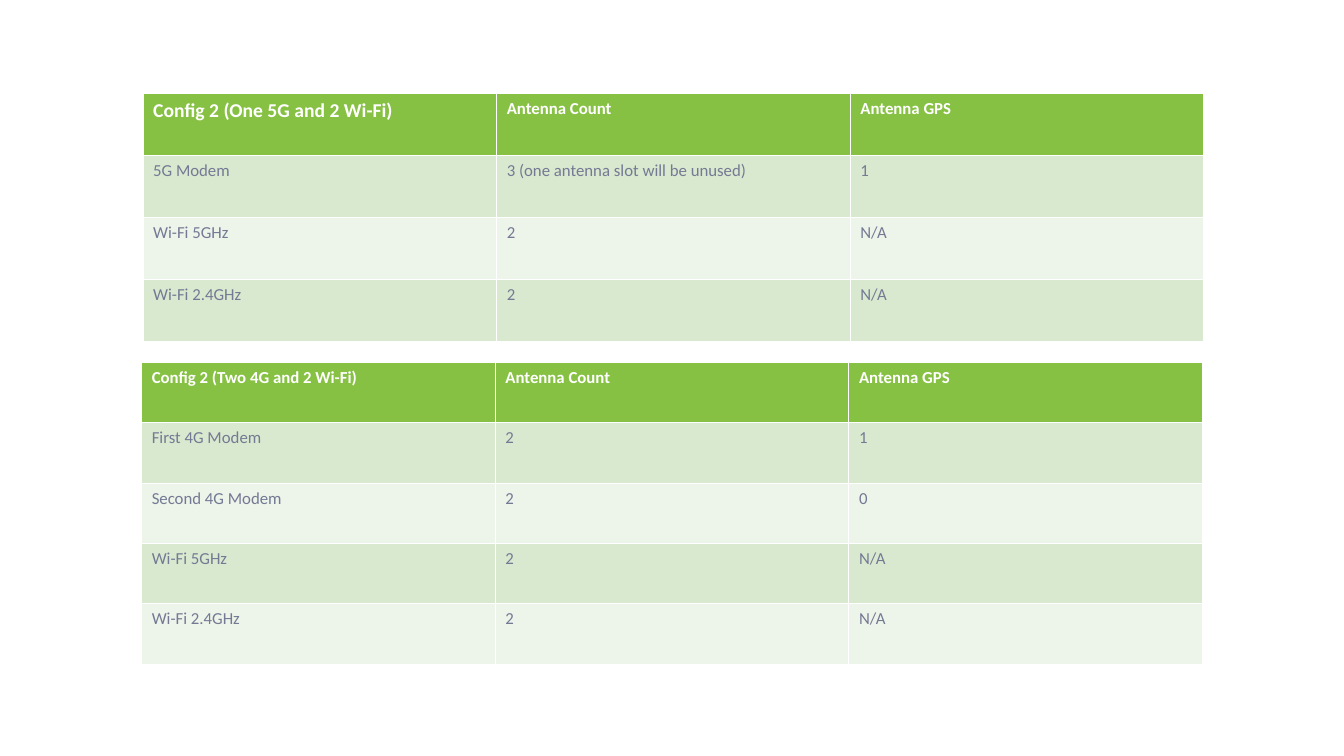
"""Build a slide with two antenna configuration tables."""
from dataclasses import dataclass

from lxml.etree import SubElement
from pptx import Presentation
from pptx.dml.color import RGBColor
from pptx.oxml.ns import qn
from pptx.util import Pt

TABLES = [
    {
        "left": 102.2, "top": 66.8, "row_height": 44.3, "title_size": 14,
        "rows": [
            ("Config 2 (One 5G and 2 Wi-Fi)", "Antenna Count", "Antenna GPS"),
            ("5G Modem", "3 (one antenna slot will be unused)", "1"),
            ("Wi-Fi 5GHz", "2", "N/A"),
            ("Wi-Fi 2.4GHz", "2", "N/A"),
        ],
    },
    {
        "left": 101.2, "top": 259, "row_height": 43.1, "title_size": 12,
        "rows": [
            ("Config 2 (Two 4G and 2 Wi-Fi)", "Antenna Count", "Antenna GPS"),
            ("First 4G Modem", "2", "1"),
            ("Second 4G Modem", "2", "0"),
            ("Wi-Fi 5GHz", "2", "N/A"),
            ("Wi-Fi 2.4GHz", "2", "N/A"),
        ],
    },
]
SLIDE_SIZE = (960, 540)
COLUMN_WIDTH = 252.6


@dataclass(frozen=True)
class Theme:
    """Colours, font and type sizes of the slide."""
    font: str = "Calibri"
    body_size: float = 12
    header_fill: str = "87C143"
    band_fills: tuple = ("D9E9CF", "EDF4E9")
    header_text: str = "FFFFFF"
    body_text: str = "747994"
    border: str = "FFFFFF"
    border_width: float = 0.75
    header_rule_width: float = 0.88


THEME = Theme()


def add_borders(cell, row_index):
    """Draw the four cell borders, heavier between header and body."""
    properties = cell._tc.get_or_add_tcPr()
    for side in "LRTB":
        under_header = (row_index, side) in ((0, "B"), (1, "T"))
        width = THEME.header_rule_width if under_header else THEME.border_width
        line = SubElement(properties, qn(f"a:ln{side}"), w=str(int(Pt(width))))
        fill = SubElement(line, qn("a:solidFill"))
        SubElement(fill, qn("a:srgbClr"), val=THEME.border)


def style_cell(cell, text, row_index, size):
    """Write one cell and give it its borders, fill and type."""
    is_header = row_index == 0
    add_borders(cell, row_index)
    fill_color = THEME.header_fill if is_header else THEME.band_fills[(row_index - 1) % 2]
    cell.fill.solid()
    cell.fill.fore_color.rgb = RGBColor.from_string(fill_color)
    cell.text_frame.text = text
    font = cell.text_frame.paragraphs[0].runs[0].font
    font.name = THEME.font
    font.size = Pt(size)
    font.bold = is_header
    font.color.rgb = RGBColor.from_string(THEME.header_text if is_header else THEME.body_text)


def add_antenna_table(slide, content):
    """Add one table with equal rows and columns."""
    rows = content["rows"]
    row_count, column_count = len(rows), len(rows[0])
    table = slide.shapes.add_table(
        row_count, column_count, Pt(content["left"]), Pt(content["top"]),
        Pt(COLUMN_WIDTH * column_count), Pt(content["row_height"] * row_count),
    ).table
    for row_index, row in enumerate(rows):
        for column_index, text in enumerate(row):
            is_title = row_index == column_index == 0
            size = content["title_size"] if is_title else THEME.body_size
            style_cell(table.cell(row_index, column_index), text, row_index, size)


def main():
    """Create and save the presentation."""
    presentation = Presentation()
    presentation.slide_width, presentation.slide_height = map(Pt, SLIDE_SIZE)
    slide = presentation.slides.add_slide(presentation.slide_layouts[6])
    for content in TABLES:
        add_antenna_table(slide, content)
    presentation.save("out.pptx")


if __name__ == "__main__":
    main()
